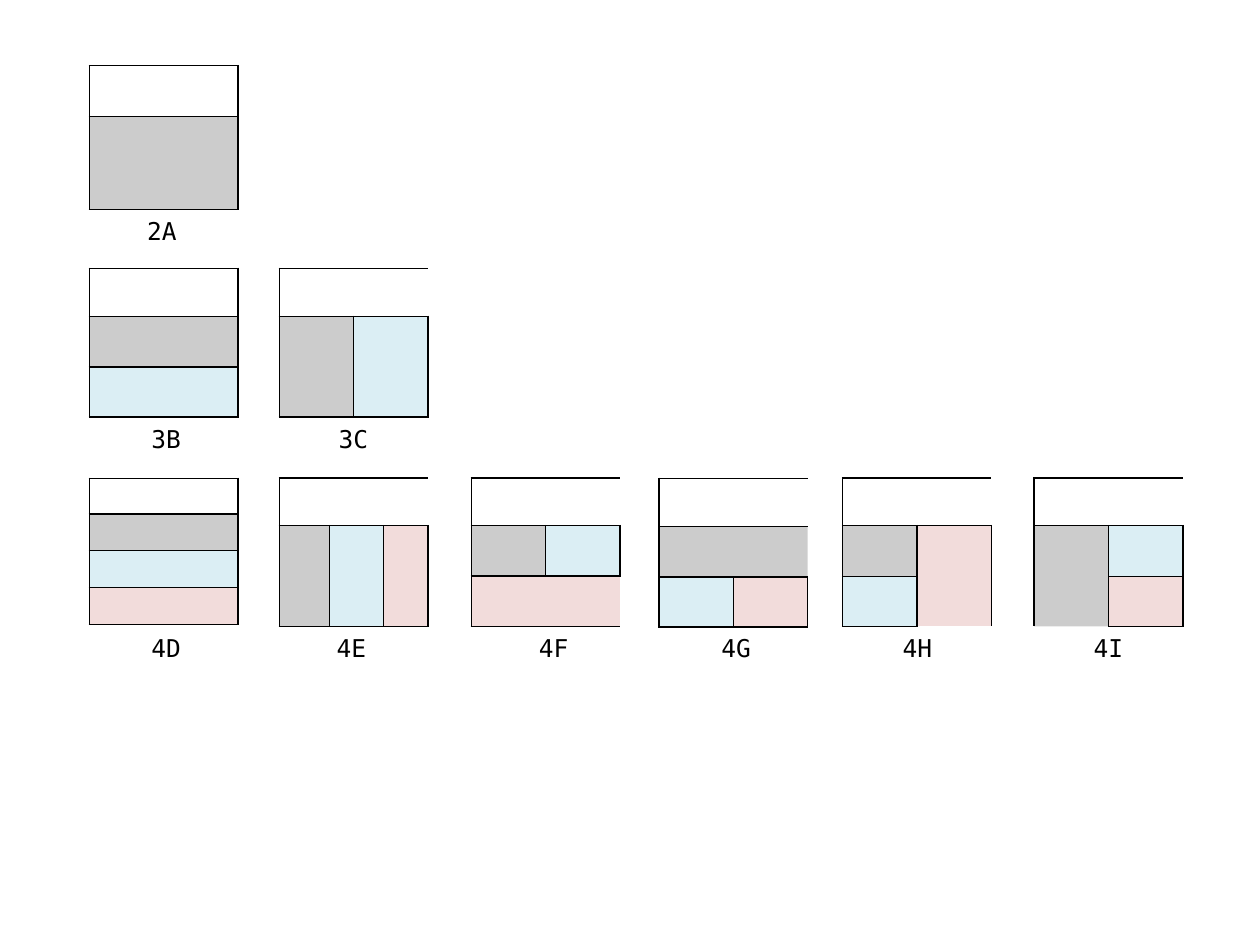
from dataclasses import dataclass

from lxml import etree
from pptx import Presentation
from pptx.dml.color import RGBColor
from pptx.enum import text
from pptx.oxml import ns
from pptx.util import Pt


@dataclass(frozen=True)
class Theme:
    ink: str = "000000"
    blue: str = "DBEEF4"
    pink: str = "F2DCDB"
    gray_alpha: int = 20
    font: str = "DejaVu Sans Mono"
    label_size: float = 14
    cell_size: float = 8
    thick: float = 1
    thin: float = 0.75


THEME = Theme()
# Panel letters: W is empty, G gray, B blue, P pink
FILLS = {"G": THEME.ink, "B": THEME.blue, "P": THEME.pink}

SIDE = 85
HALVES = [SIDE / 2] * 2
HEADED = [27.4, 28.8, 28.8]
LABEL_WIDTH, LABEL_HEIGHT = 31.7, 24.2

# name, left, top, column widths, row heights, panel letters by row, label left, label top
LAYOUTS = [
    ("2A", 51.1, 37.5, [SIDE], [29.2, 53], ["W", "G"], 77, 120.2),
    ("3B", 51.1, 153.4, [SIDE], HEADED, ["W", "G", "B"], 79.5, 238.5),
    ("3C", 159.6, 153.4, HALVES, [27.4, 57.6], ["WW", "GB"], 186.5, 238.5),
    ("4D", 51.1, 273.4, [SIDE], [20.2] + [21.1] * 3, ["W", "G", "B", "P"], 79.5, 358),
    ("4E", 159.6, 273, [28.9, 30.9, 25.2], [27.4, 57.6], ["WWW", "GBP"], 185.3, 358),
    ("4F", 269.4, 273, HALVES, HEADED, ["WW", "GB", "PP"], 300.8, 358),
    ("4G", 376.5, 273.4, HALVES, HEADED, ["WW", "GG", "BP"], 405.2, 358),
    ("4H", 481.5, 273, HALVES, HEADED, ["WW", "GP", "BP"], 508.8, 358),
    ("4I", 591, 273, HALVES, HEADED, ["WW", "GB", "GP"], 617.8, 358.4),
]


def apply_format(target, values):
    for name, value in values.items():
        setattr(target, name, value)


def cell_borders(panels, row, column):
    """Return edge widths; edges that do not cross the whole table are thin."""
    def width(other_row, other_column):
        if not (0 <= other_row < len(panels) and 0 <= other_column < len(panels[0])):
            return THEME.thick
        if panels[row][column] == panels[other_row][other_column]:
            return 0
        if other_row == row:
            return THEME.thin
        crossed = any(a == b for a, b in zip(panels[row], panels[other_row]))
        return THEME.thin if crossed else THEME.thick

    return {"lnL": width(row, column - 1), "lnR": width(row, column + 1),
            "lnT": width(row - 1, column), "lnB": width(row + 1, column)}


def draw_borders(cell, borders):
    properties = cell._tc.get_or_add_tcPr()
    for tag, width in borders.items():
        line = etree.SubElement(properties, ns.qn(f"a:{tag}"), w=str(Pt(width)))
        if width:
            fill = etree.SubElement(line, ns.qn("a:solidFill"))
            etree.SubElement(fill, ns.qn("a:srgbClr"), val=THEME.ink)
        else:
            etree.SubElement(line, ns.qn("a:noFill"))


def fill_cell(cell, letter):
    if letter not in FILLS:
        cell.fill.background()
        return
    cell.fill.solid()
    cell.fill.fore_color.rgb = RGBColor.from_string(FILLS[letter])
    if letter == "G":
        color = cell._tc.tcPr.find(ns.qn("a:solidFill"))[0]
        etree.SubElement(color, ns.qn("a:alpha"), val=str(THEME.gray_alpha * 1000))


def merge_panels(table, panels):
    """Merge each rectangle of equal letters into one cell."""
    for letter in sorted(set("".join(panels))):
        places = [(r, c) for r, line in enumerate(panels)
                  for c, mark in enumerate(line) if mark == letter]
        if len(places) > 1:
            table.cell(*places[0]).merge(table.cell(*places[-1]))


def add_layout(slide, left, top, widths, heights, panels):
    frame = slide.shapes.add_table(len(heights), len(widths), Pt(left), Pt(top),
                                   Pt(sum(widths)), Pt(sum(heights)))
    table = frame.table
    apply_format(table, {"first_row": False, "horz_banding": False})
    for column, width in zip(table.columns, widths):
        column.width = Pt(width)
    for row, height in zip(table.rows, heights):
        row.height = Pt(height)
    for r, line in enumerate(panels):
        for c, letter in enumerate(line):
            cell = table.cell(r, c)
            apply_format(cell, {"margin_top": 0, "margin_bottom": 0})
            # Small empty text keeps the low rows at their height
            etree.SubElement(cell.text_frame.paragraphs[0]._p, ns.qn("a:endParaRPr"),
                             sz=str(int(THEME.cell_size * 100)))
            draw_borders(cell, cell_borders(panels, r, c))
            fill_cell(cell, letter)
    merge_panels(table, panels)


def add_label(slide, name, left, top):
    box = slide.shapes.add_textbox(Pt(left), Pt(top), Pt(LABEL_WIDTH), Pt(LABEL_HEIGHT))
    apply_format(box.text_frame, {"word_wrap": False,
                                  "auto_size": text.MSO_AUTO_SIZE.SHAPE_TO_FIT_TEXT})
    run = box.text_frame.paragraphs[0].add_run()
    run.text = name
    apply_format(run.font, {"name": THEME.font, "size": Pt(THEME.label_size)})
    run.font.color.rgb = RGBColor.from_string(THEME.ink)


def main():
    presentation = Presentation()
    apply_format(presentation, {"slide_width": Pt(720), "slide_height": Pt(540)})
    slide = presentation.slides.add_slide(presentation.slide_layouts[6])

    # Layout diagrams, each with its name below
    for name, left, top, widths, heights, panels, label_left, label_top in LAYOUTS:
        add_layout(slide, left, top, widths, heights, panels)
        add_label(slide, name, label_left, label_top)

    presentation.save("out.pptx")


if __name__ == "__main__":
    main()
